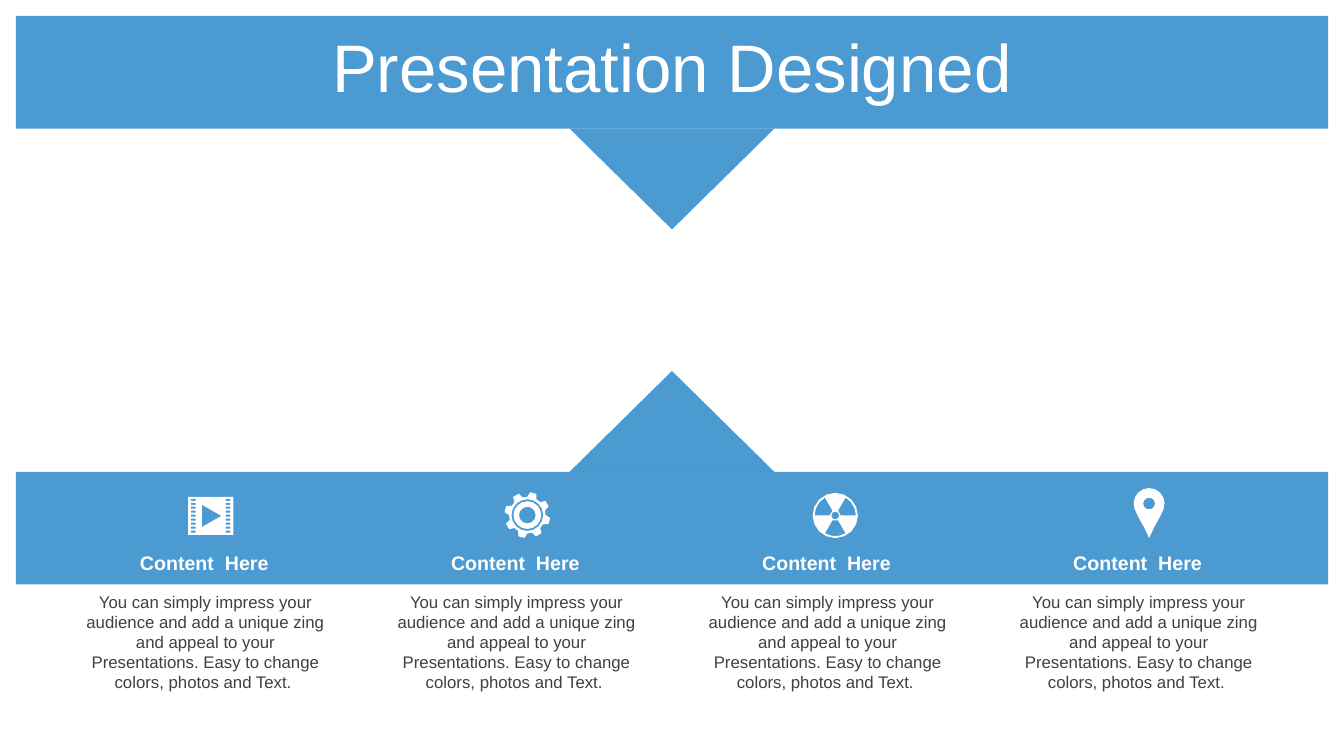
from dataclasses import dataclass
from math import cos, radians, sin

from lxml.etree import SubElement
from pptx import Presentation
from pptx.dml.color import RGBColor
from pptx.enum.shapes import MSO_SHAPE
from pptx.enum.text import MSO_ANCHOR, MSO_AUTO_SIZE, PP_ALIGN
from pptx.oxml.ns import qn
from pptx.util import Cm, Pt


@dataclass(frozen=True)
class Theme:
    font: str = "Arial"
    band: RGBColor = RGBColor(0x00, 0x70, 0xC0)
    band_opacity: int = 70
    light: RGBColor = RGBColor(0xFF, 0xFF, 0xFF)
    dark: RGBColor = RGBColor(0x40, 0x40, 0x40)
    title_size: Pt = Pt(48)
    heading_size: Pt = Pt(14)
    body_size: Pt = Pt(12)


THEME = Theme()
SLIDE_WIDTH, SLIDE_HEIGHT = 33.87, 19.05
BAND_LEFT, BAND_WIDTH, BAND_HEIGHT = 0.4, 33.07, 2.84
ARROW_WIDTH, ARROW_HEIGHT = 5.16, 2.54
TOP_BAND, BOTTOM_BAND = 0.4, 11.89
COLUMN_LEFT, COLUMN_PITCH, COLUMN_WIDTH = 1.83, 7.84, 6.64

HEADING = "Content  Here"
BODY = ("You can simply impress your audience and add a unique zing "
        "and appeal to your Presentations. Easy to change colors, photos and Text. ")


def apply_format(target, values):
    for attribute, value in values.items():
        setattr(target, attribute, value)


def place(shape, left, top, width, height):
    apply_format(shape, {"left": Cm(left), "top": Cm(top),
                         "width": Cm(width), "height": Cm(height)})


def paint(shape, color, opacity=100):
    shape.shadow.inherit = False
    shape.fill.solid()
    shape.fill.fore_color.rgb = color
    shape.line.fill.background()
    if opacity < 100:
        color_node = shape.element.spPr.find(".//" + qn("a:srgbClr"))
        SubElement(color_node, qn("a:alpha"), val=str(opacity * 1000))


def write(frame, text, size, color, bold=False, anchor=MSO_ANCHOR.TOP,
          fit=MSO_AUTO_SIZE.SHAPE_TO_FIT_TEXT, line_spacing=None):
    frame.text = text
    apply_format(frame, {"word_wrap": True, "auto_size": fit, "vertical_anchor": anchor})
    paragraph = frame.paragraphs[0]
    apply_format(paragraph, {"alignment": PP_ALIGN.CENTER, "line_spacing": line_spacing})
    run_font = paragraph.runs[0].font
    apply_format(run_font, {"name": THEME.font, "size": size, "bold": bold})
    run_font.color.rgb = color


def add_band(slide, top, points_down):
    """Draw a wide bar with a centred triangle pointing away from it."""
    arrow_top = top + BAND_HEIGHT if points_down else top - ARROW_HEIGHT
    arrow_left = (SLIDE_WIDTH - ARROW_WIDTH) / 2
    parts = (
        (MSO_SHAPE.RECTANGLE, BAND_LEFT, top, BAND_WIDTH, BAND_HEIGHT),
        (MSO_SHAPE.ISOSCELES_TRIANGLE, arrow_left, arrow_top, ARROW_WIDTH, ARROW_HEIGHT),
    )
    for preset, *box in parts:
        part = slide.shapes.add_shape(preset, *(Cm(length) for length in box))
        paint(part, THEME.band, THEME.band_opacity)
        part.rotation = 180 if points_down else 0


def add_title(slide, text):
    title = slide.shapes.title
    place(title, 0, 0.86, SLIDE_WIDTH, 1.98)
    write(title.text_frame, text, THEME.title_size, THEME.light,
          anchor=MSO_ANCHOR.MIDDLE, fit=MSO_AUTO_SIZE.NONE, line_spacing=0.8)
    # The bar is translucent, so the title has to lie above it.
    title.element.getparent().append(title.element)


def add_column(slide, left):
    heading = slide.shapes.add_textbox(Cm(left), Cm(13.75), Cm(COLUMN_WIDTH), Cm(0.86))
    write(heading.text_frame, HEADING, THEME.heading_size, THEME.light,
          bold=True, anchor=MSO_ANCHOR.MIDDLE)
    body = slide.shapes.add_textbox(Cm(left + 0.03), Cm(14.78), Cm(COLUMN_WIDTH), Cm(2.82))
    write(body.text_frame, BODY, THEME.body_size, THEME.dark)


def polar(radius, angle):
    return radius * cos(radians(angle)), radius * sin(radians(angle))


def arc(radius, start, end, steps):
    return [polar(radius, start + (end - start) * step / steps)
            for step in range(steps + 1)]


def circle(radius, corners=16):
    return arc(radius, 0, 360, corners)[:-1]


def rectangle(left, top, width, height):
    right, bottom = left + width, top + height
    return [(left, top), (right, top), (right, bottom), (left, bottom)]


def film_outlines():
    holes = [rectangle(left, -0.43 + 0.1 * row, 0.12, 0.05)
             for left in (-0.5, 0.38) for row in range(9)]
    play = [(-0.22, -0.28), (-0.22, 0.28), (0.27, 0)]
    return [rectangle(-0.57, -0.48, 1.14, 0.96), play] + holes


def gear_outlines():
    teeth = [polar(radius, -75 + 45 * tooth + turn)
             for tooth in range(8)
             for radius, turn in ((0.46, -15), (0.58, -8), (0.58, 8), (0.46, 15))]
    return [teeth, circle(0.4), circle(0.35), circle(0.21, 12)]


def fan_outlines():
    blades = [arc(0.52, middle - 30, middle + 30, 3) + arc(0.14, middle + 30, middle - 30, 1)
              for middle in (90, 210, 330)]
    return [circle(0.57), circle(0.1, 8)] + blades


def pin_outlines():
    """Outline a map pin around the centre of its head."""
    head = arc(0.39, 160, 380, 10)
    return [head + [(0.28, 0.32), (0.12, 0.61), (0, 0.87), (-0.12, 0.61), (-0.28, 0.32)],
            circle(0.15, 10)]


def add_icon(slide, outlines, center_x, center_y):
    """Draw nested outlines as one shape; inner outlines become holes."""
    body, *holes = [[(Cm(center_x + x), Cm(center_y + y)) for x, y in outline]
                    for outline in outlines]
    builder = slide.shapes.build_freeform(*body[0])
    builder.add_line_segments(body[1:], close=True)
    for hole in holes:
        builder.move_to(*hole[0])
        builder.add_line_segments(hole[1:], close=True)
    paint(builder.convert_to_shape(), THEME.light)


def main():
    presentation = Presentation()
    apply_format(presentation, {"slide_width": Cm(SLIDE_WIDTH),
                                "slide_height": Cm(SLIDE_HEIGHT)})
    slide = presentation.slides.add_slide(presentation.slide_layouts[5])

    add_band(slide, TOP_BAND, points_down=True)
    add_band(slide, BOTTOM_BAND, points_down=False)
    for column in range(4):
        add_column(slide, COLUMN_LEFT + column * COLUMN_PITCH)
    add_title(slide, "Presentation Designed")

    icons = (
        (fan_outlines(), 21.05, 12.99),
        (film_outlines(), 5.31, 13),
        (pin_outlines(), 28.96, 12.69),
        (gear_outlines(), 13.29, 12.98),
    )
    for icon in icons:
        add_icon(slide, *icon)

    presentation.save("out.pptx")


if __name__ == "__main__":
    main()
